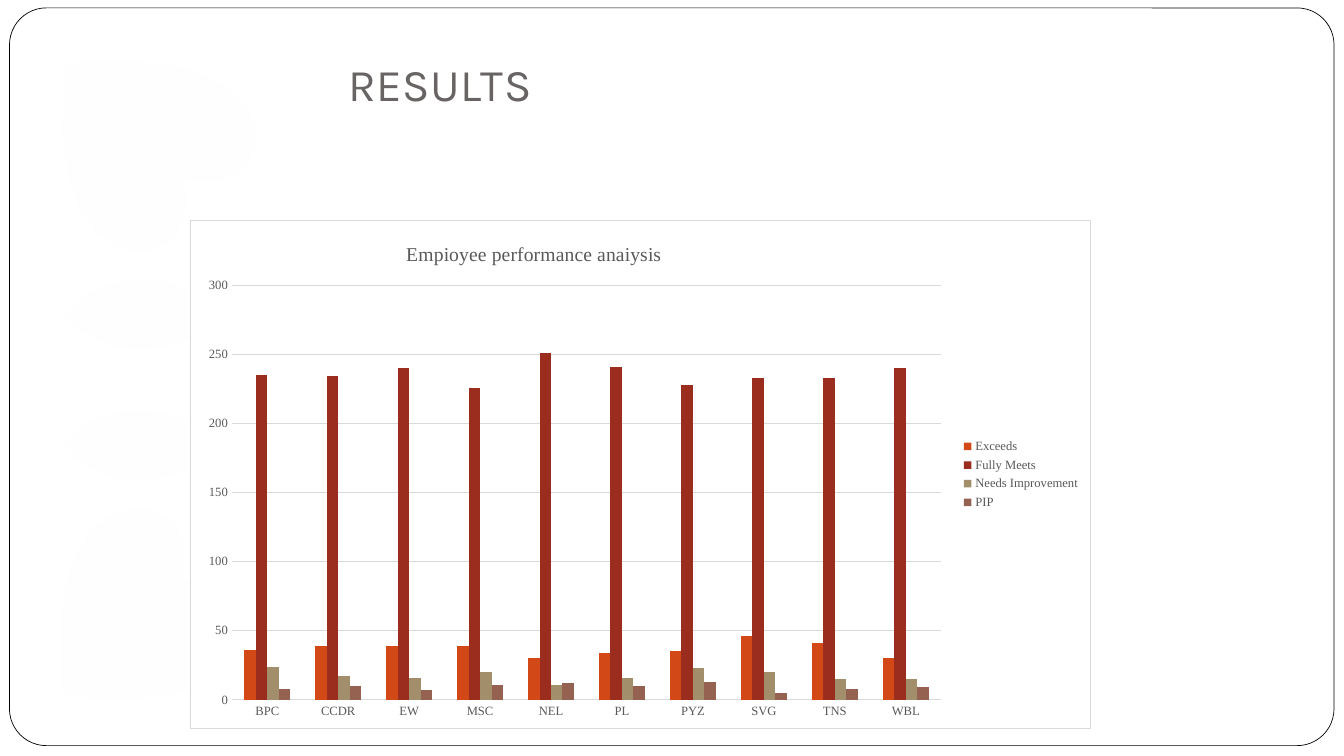
from dataclasses import dataclass

from lxml import etree
from pptx import Presentation
from pptx.chart.data import CategoryChartData
from pptx.dml.color import RGBColor
from pptx.enum.chart import XL_CHART_TYPE, XL_LEGEND_POSITION, XL_TICK_MARK
from pptx.enum.shapes import MSO_CONNECTOR, MSO_SHAPE
from pptx.enum.text import MSO_ANCHOR, MSO_AUTO_SIZE, PP_ALIGN
from pptx.oxml import parse_xml
from pptx.oxml.ns import nsdecls, qn
from pptx.util import Cm, Pt

COLUMNS = XL_CHART_TYPE.COLUMN_CLUSTERED
LEGEND_RIGHT = XL_LEGEND_POSITION.RIGHT
NO_TICK = XL_TICK_MARK.NONE
STRAIGHT = MSO_CONNECTOR.STRAIGHT
ROUNDED = MSO_SHAPE.ROUNDED_RECTANGLE
BOTTOM = MSO_ANCHOR.BOTTOM
NO_FIT = MSO_AUTO_SIZE.NONE
LEFT = PP_ALIGN.LEFT

WHITE = RGBColor(0xFF, 0xFF, 0xFF)
BLACK = RGBColor(0x00, 0x00, 0x00)
TITLE_GREY = RGBColor(0x69, 0x64, 0x64)
TEXT_GREY = RGBColor(0x59, 0x59, 0x59)
RULE_GREY = RGBColor(0xD9, 0xD9, 0xD9)
ORANGE = RGBColor(0xD3, 0x48, 0x17)
RED = RGBColor(0x9B, 0x2D, 0x1F)
TAN = RGBColor(0xA2, 0x8E, 0x6A)
BROWN = RGBColor(0x95, 0x62, 0x51)

HEADING_FONT = "Karla"
CHART_FONT = "Times New Roman"
CHART_W, CHART_H = 22.69, 12.83
Point = tuple[float, float]


@dataclass
class Rating:
    name: str
    color: RGBColor
    values: tuple[int, ...]


@dataclass
class Leaf:
    start: Point
    curves: tuple[tuple[Point, Point, Point], ...]
    end_alpha: int


UNITS = ("BPC", "CCDR", "EW", "MSC", "NEL", "PL", "PYZ", "SVG", "TNS", "WBL")
RATINGS = (
    Rating("Exceeds", ORANGE, (36, 39, 39, 39, 30, 34, 35, 46, 41, 30)),
    Rating("Fully Meets", RED, (235, 234, 240, 226, 251, 241, 228, 233, 233, 240)),
    Rating("Needs Improvement", TAN, (24, 17, 16, 20, 11, 16, 23, 20, 15, 15)),
    Rating("PIP", BROWN, (8, 10, 7, 11, 12, 10, 13, 5, 8, 9)),
)
LEAVES = (
    Leaf((1.7, 1.6), (((4.52, 4.42), (4.6, 4.47), (4.8, 4.52)),
                      ((5.38, 4.65), (5.82, 4.5), (6.22, 4.09)),
                      ((6.93, 3.15), (6.07, 1.12), (1.7, 1.6))), 20),
    Leaf((1.7, 1.57), (((1.6, 2.1), (1.62, 2.0), (1.63, 2.03)),
                       ((1.22, 5.94), (3.25, 6.83), (4.19, 6.1)),
                       ((4.57, 5.84), (4.78, 5.33), (4.62, 4.67)),
                       ((4.57, 4.45), (4.52, 4.42), (1.7, 1.57))), 10),
    Leaf((1.6, 7.92), (((2.08, 7.37), (2.77, 7.04), (3.58, 7.04)),
                       ((4.34, 7.04), (5.05, 7.37), (5.54, 7.92))), 20),
    Leaf((1.6, 7.92), (((2.08, 8.46), (2.77, 8.79), (3.58, 8.79)),
                       ((4.34, 8.79), (5.05, 8.46), (5.54, 7.92))), 10),
)
RAYS = (((1.7, 1.57), (6.05, 5.92)), ((6.22, 2.64), (2.74, 6.1)), ((6.78, 7.92), (1.6, 7.92)))
CORNERS = ((1.73, 1.63, 2.74), (1.6, 1.47, 1.68))


def set_all(target, formats: dict) -> None:
    for name, value in formats.items():
        setattr(target, name, value)


def set_font(font, name: str, size: float, color: RGBColor) -> None:
    set_all(font, {"name": name, "size": Pt(size), "bold": False})
    font.color.rgb = color


def set_line(line, color: RGBColor, width: float) -> None:
    line.color.rgb = color
    line.width = Pt(width)


def place(parent, index: int, **lengths: float) -> None:
    for old in parent.findall(qn("c:layout")):
        parent.remove(old)
    layout = parse_xml(f"<c:layout {nsdecls('c')}><c:manualLayout/></c:layout>")
    manual = layout[0]
    if "w" in lengths:
        etree.SubElement(manual, qn("c:layoutTarget")).set("val", "inner")
    for mode in ("xMode", "yMode"):
        etree.SubElement(manual, qn(f"c:{mode}")).set("val", "edge")
    for key, value in lengths.items():
        total = CHART_W if key in "xw" else CHART_H
        etree.SubElement(manual, qn(f"c:{key}")).set("val", str(value / total))
    parent.insert(index, layout)


def add_frame(s) -> None:
    frame = s.shapes.add_shape(ROUNDED, Cm(0.24), Cm(0.2), Cm(33.38), Cm(18.59))
    frame.adjustments[0] = 0.05
    frame.shadow.inherit = False
    frame.fill.solid()
    frame.fill.fore_color.rgb = WHITE
    set_line(frame.line, BLACK, 0.5)


def add_white_line(s, start: Point, end: Point) -> None:
    line = s.shapes.add_connector(STRAIGHT, *(Cm(v) for v in start + end))
    set_line(line.line, WHITE, 1)
    etree.SubElement(line._element.spPr, qn("a:effectLst"))


def add_outline(s, points: list[Point], close: bool):
    pen = s.shapes.build_freeform(Cm(points[0][0]), Cm(points[0][1]))
    pen.add_line_segments([(Cm(x), Cm(y)) for x, y in points[1:]], close=close)
    sp = pen.convert_to_shape()
    sp.shadow.inherit = False
    return sp


def leaf_points(leaf: Leaf, steps: int = 8) -> list[Point]:
    points = [leaf.start]
    for a, b, end in leaf.curves:
        bezier = tuple(zip(points[-1], a, b, end))
        for t in (i / steps for i in range(1, steps + 1)):
            u = 1 - t
            x, y = (u**3 * p0 + 3 * u * u * t * p1 + 3 * u * t * t * p2 + t**3 * p3
                    for p0, p1, p2, p3 in bezier)
            points.append((x, y))
    return points


def add_ornament(s, flipped: bool) -> None:
    def turn(point: Point) -> Point:
        x, y = point
        return (x - 0.05, 19.13 - y) if flipped else point

    for start, end in RAYS:
        add_white_line(s, turn(start), turn(end))
    for x, y, side in CORNERS:
        bend = [turn(p) for p in ((x, y + side), (x, y), (x + side, y))]
        sp = add_outline(s, bend, False)
        sp.fill.background()
        set_line(sp.line, WHITE, 1)
    for leaf in LEAVES:
        sp = add_outline(s, [turn(p) for p in leaf_points(leaf)], True)
        sp.line.fill.background()
        sp.fill.gradient()
        for stop, alpha in zip(sp.fill.gradient_stops, (80, leaf.end_alpha)):
            stop.color.rgb = WHITE
            color = stop._gs.find(qn("a:srgbClr"))
            etree.SubElement(color, qn("a:alpha")).set("val", str(alpha * 1000))


def add_title(s, text: str) -> None:
    sp = s.shapes.title
    s.shapes._spTree.append(sp._element)
    set_all(sp, {"left": Cm(8.77), "top": Cm(1.12), "width": Cm(23.52), "height": Cm(3.3)})
    tf = sp.text_frame
    set_all(tf, {"margin_left": 0, "margin_top": Cm(0.13), "margin_right": Cm(0.25),
                 "margin_bottom": Cm(1.63), "vertical_anchor": BOTTOM,
                 "auto_size": NO_FIT, "word_wrap": True})
    p = tf.paragraphs[0]
    p.alignment = LEFT
    r = p.add_run()
    r.text = text
    set_font(r.font, HEADING_FONT, 32.4, TITLE_GREY)
    r.font._element.set("spc", "50")


def style_axes(chart) -> None:
    for axis in (chart.category_axis, chart.value_axis):
        set_all(axis, {"major_tick_mark": NO_TICK, "minor_tick_mark": NO_TICK})
        set_font(axis.tick_labels.font, CHART_FONT, 9, TEXT_GREY)
    set_line(chart.category_axis.format.line, RULE_GREY, 0.75)
    values = chart.value_axis
    set_all(values, {"minimum_scale": 0, "maximum_scale": 300, "major_unit": 50})
    values.format.line.fill.background()
    set_line(values.major_gridlines.format.line, RULE_GREY, 0.75)


def add_performance_chart(s, title: str) -> None:
    data = CategoryChartData()
    data.categories = UNITS
    for rating in RATINGS:
        data.add_series(rating.name, rating.values)
    box = (Cm(v) for v in (4.8, 5.54, CHART_W, CHART_H))
    chart = s.shapes.add_chart(COLUMNS, *box, data).chart
    set_font(chart.font, CHART_FONT, 10, BLACK)
    r = chart.chart_title.text_frame.paragraphs[0].add_run()
    r.text = title
    set_font(r.font, CHART_FONT, 14, TEXT_GREY)
    place(chart.chart_title._element, 1, x=5.34, y=0.44)
    plot = chart.plots[0]
    set_all(plot, {"gap_width": 219, "overlap": 0, "vary_by_categories": False})
    for series, rating in zip(plot.series, RATINGS):
        series.format.fill.solid()
        series.format.fill.fore_color.rgb = rating.color
    style_axes(chart)
    place(chart._chartSpace.chart.plotArea, 0, x=1.03, y=1.64, w=17.9, h=10.47)
    chart.has_legend = True
    set_all(chart.legend, {"position": LEGEND_RIGHT, "include_in_layout": False})
    set_font(chart.legend.font, CHART_FONT, 9, TEXT_GREY)
    chart._chartSpace.chart.addnext(parse_xml(
        f"<c:spPr {nsdecls('c', 'a')}>"
        f'<a:solidFill><a:srgbClr val="{WHITE}"/></a:solidFill>'
        f'<a:ln w="{Pt(0.75)}"><a:solidFill><a:srgbClr val="{RULE_GREY}"/></a:solidFill></a:ln>'
        "</c:spPr>"))


def main() -> None:
    prs = Presentation()
    set_all(prs, {"slide_width": Cm(33.87), "slide_height": Cm(19.05)})
    s = prs.slides.add_slide(prs.slide_layouts[5])
    add_frame(s)
    for flipped in (False, True):
        add_ornament(s, flipped)
    add_white_line(s, (8.76, 5), (10.26, 5))
    add_title(s, "RESULTS")
    add_performance_chart(s, "Empioyee performance anaiysis")
    prs.save("out.pptx")


if __name__ == "__main__":
    main()
